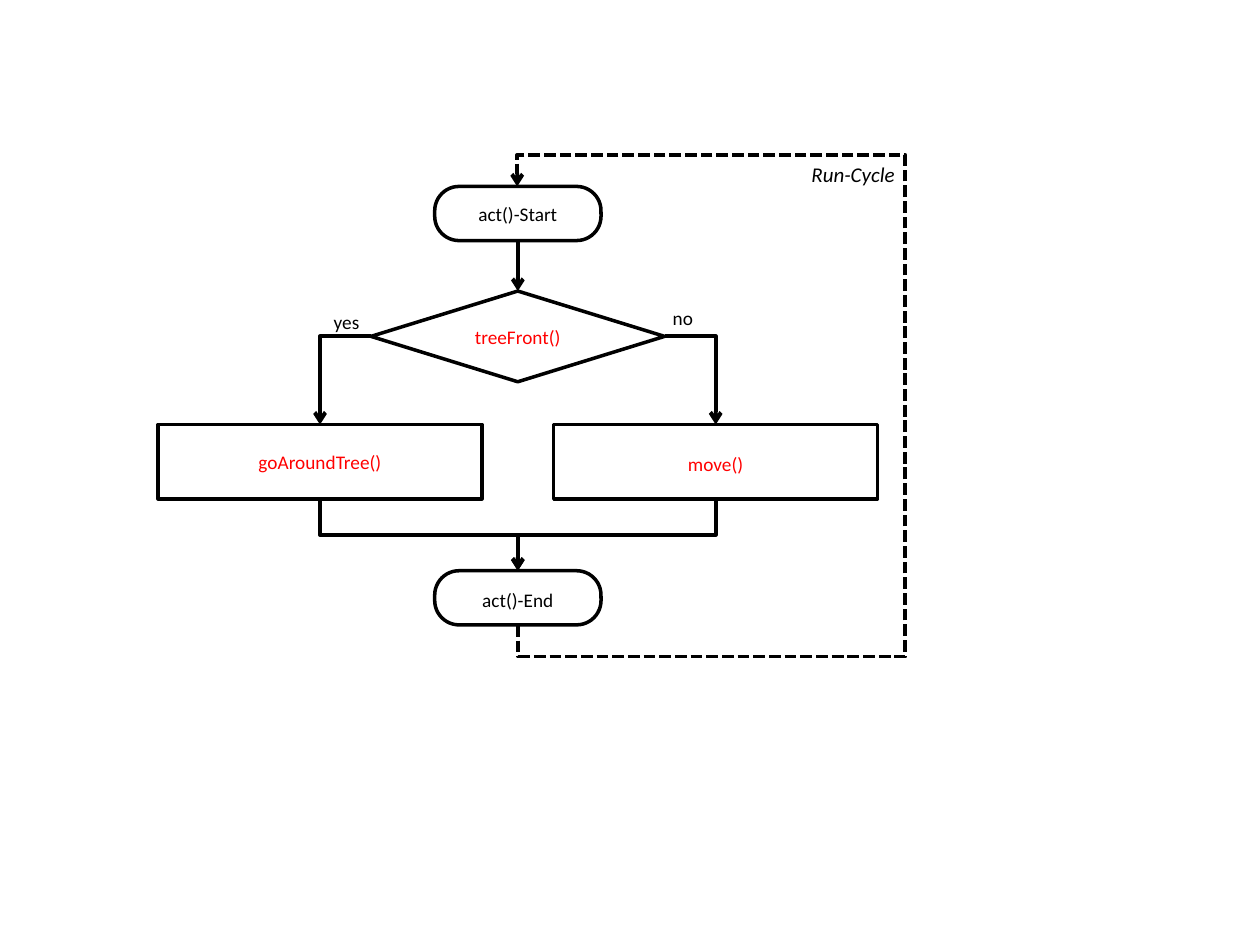
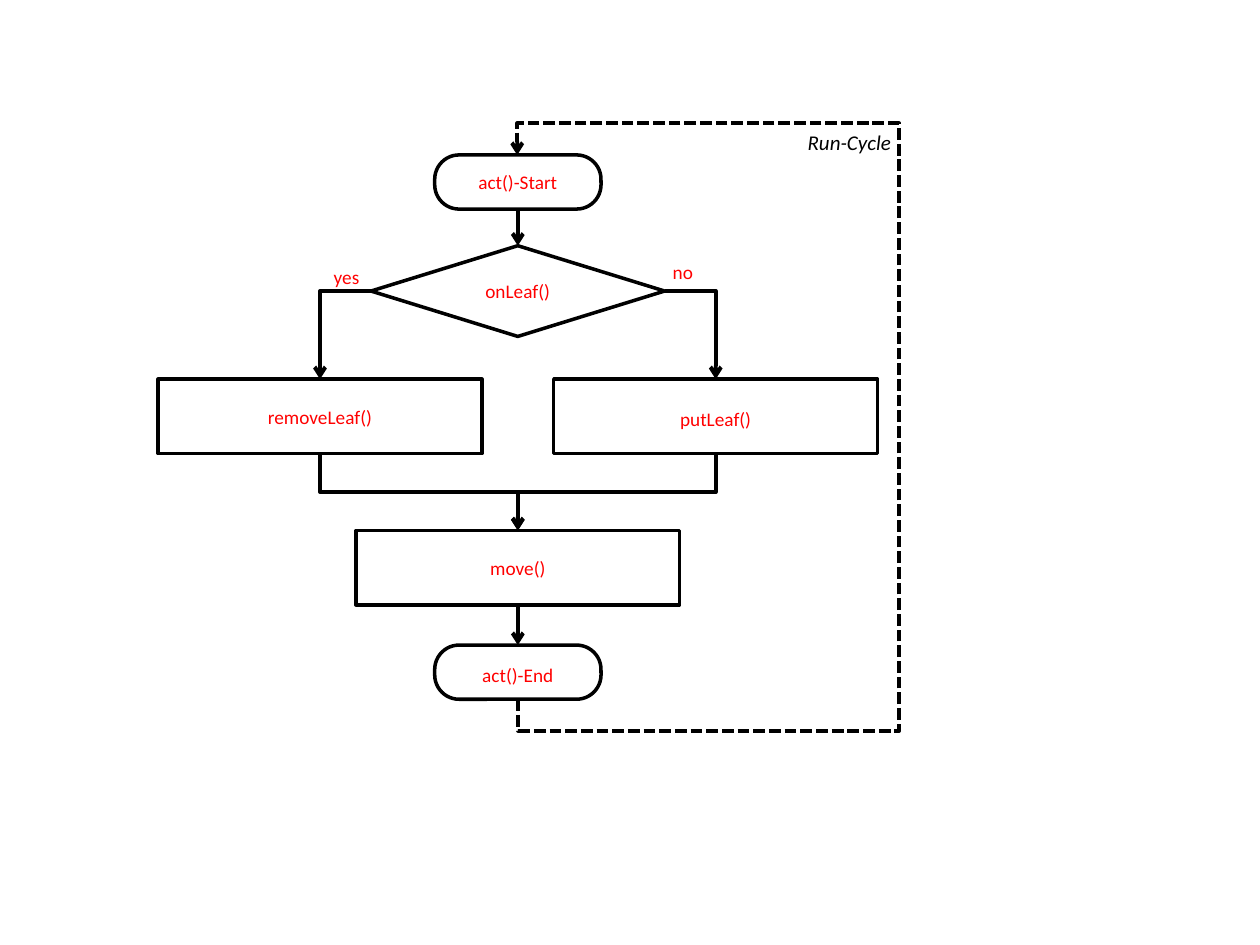
from lxml.etree import SubElement
from pptx import Presentation
from pptx.dml.color import RGBColor
from pptx.enum.dml import MSO_LINE
from pptx.enum.shapes import MSO_CONNECTOR, MSO_SHAPE
from pptx.enum.text import MSO_ANCHOR, PP_ALIGN
from pptx.oxml.ns import qn
from pptx.util import Inches, Pt

COLORS = {"paper": "FFFFFF", "ink": "000000", "answer": "FF0000"}
FONT = "Calibri"
TOP, LEFT, BOTTOM, RIGHT = range(4)

AXIS = 4.11            # centre of the main column
BRANCH_OFFSET = 1.57   # from the axis to the centre of each branch
BRANCH_DROP = 1.06     # from the top of the decision to the branches
LOOP_GAP = 0.25        # the loop runs this far below the end and above the start
TERMINAL, DECISION, STEP = (1.32, 0.43), (2.33, 0.72), (2.57, 0.59)

CHARTS = [
    {"start": 1.48, "decision": 2.31, "end": 4.53, "loop_right": 7.23, "label_right": 7.2,
     "question": "treeFront()", "yes": "goAroundTree()", "no": "move()",
     "after": None, "frame_color": "ink"},
    {"start": 1.23, "decision": 1.95, "end": 5.12, "loop_right": 7.18, "label_right": 7.17,
     "question": "onLeaf()", "yes": "removeLeaf()", "no": "putLeaf()",
     "after": ("move()", 4.21), "frame_color": "answer"},
]


def color(name):
    return RGBColor.from_string(COLORS[name])


def write(shape, text, ink, align, size=11, spacing=1.0, italic=False):
    frame = shape.text_frame
    frame.word_wrap = True
    para = frame.paragraphs[0]
    para.text = text
    para.alignment = align
    para.line_spacing = spacing
    font = para.font
    font.name, font.size, font.italic = FONT, Pt(size), italic
    font.color.rgb = color(ink)
    return frame


def add_node(page, kind, center, top, size, text, ink="answer", spacing=1.0):
    width, height = size
    node = page.shapes.add_shape(kind, Inches(center - width / 2), Inches(top),
                                 Inches(width), Inches(height))
    node.shadow.inherit = False
    node.fill.solid()
    node.fill.fore_color.rgb = color("paper")
    node.line.color.rgb = color("ink")
    node.line.width = Pt(2)
    frame = write(node, text, ink, PP_ALIGN.CENTER, spacing=spacing)
    frame.vertical_anchor = MSO_ANCHOR.MIDDLE
    if kind == MSO_SHAPE.ROUNDED_RECTANGLE:
        node.adjustments[0] = 0.45
    elif kind == MSO_SHAPE.FLOWCHART_DECISION:
        frame.margin_left = frame.margin_right = 0
        frame.margin_top = frame.margin_bottom = 0
    return node


def add_label(page, left, top, width, height, text, ink, align=PP_ALIGN.LEFT, **style):
    box = page.shapes.add_textbox(Inches(left), Inches(top), Inches(width), Inches(height))
    write(box, text, ink, align, **style)


def add_arrow(page, source, source_side, target, target_side, kind=MSO_CONNECTOR.STRAIGHT):
    arrow = page.shapes.add_connector(kind, 0, 0, 0, 0)
    arrow.begin_connect(source, source_side)
    arrow.end_connect(target, target_side)
    arrow.line.color.rgb = color("ink")
    arrow.line.width = Pt(2.25)
    SubElement(arrow.line._get_or_add_ln(), qn("a:tailEnd"), type="arrow")
    SubElement(arrow._element.spPr, qn("a:effectLst"))
    return arrow


def set_bends(arrow, preset, *adjustments):
    geometry = arrow._element.spPr.find(qn("a:prstGeom"))
    geometry.set("prst", preset)
    guides = geometry.find(qn("a:avLst"))
    for number, value in enumerate(adjustments, 1):
        SubElement(guides, qn("a:gd"), name=f"adj{number}", fmla=f"val {round(value * 100000)}")


def turn_upright(arrow):
    """Make an elbow leave and arrive vertically: a box turned by 90 degrees, same ends."""
    run = arrow.end_x - arrow.begin_x
    rise = arrow.end_y - arrow.begin_y
    middle_x = (arrow.begin_x + arrow.end_x) // 2
    middle_y = (arrow.begin_y + arrow.end_y) // 2
    width, height = abs(rise), max(abs(run), Inches(0.01))
    arrow.left, arrow.top = middle_x - width // 2, middle_y - height // 2
    arrow.width, arrow.height = width, height
    frame = arrow._element.spPr.find(qn("a:xfrm"))
    frame.set("rot", str(90 * 60000))
    frame.set("flipH", str(int(rise < 0)))
    frame.set("flipV", str(int(run > 0)))


def add_branch(page, decision, side, center, top, text, target, spacing):
    """Place one answer's step and lead the flow through it to the target."""
    step = add_node(page, MSO_SHAPE.RECTANGLE, center, top, STEP, text, spacing=spacing)
    set_bends(add_arrow(page, decision, side, step, TOP, MSO_CONNECTOR.ELBOW), "bentConnector2")
    merge = add_arrow(page, step, BOTTOM, target, TOP, MSO_CONNECTOR.ELBOW)
    turn_upright(merge)
    set_bends(merge, "bentConnector3", 0.5)


def add_run_cycle(page, start, end, chart):
    loop = add_arrow(page, end, BOTTOM, start, TOP, MSO_CONNECTOR.ELBOW)
    loop.line.dash_style = MSO_LINE.SQUARE_DOT
    turn_upright(loop)
    overshoot = Inches(LOOP_GAP) / loop.width
    reach = Inches(chart["loop_right"] - AXIS) / loop.height
    set_bends(loop, "bentConnector5", -overshoot, -reach, 1 + overshoot)
    add_label(page, chart["label_right"] - 1.93, chart["start"] - LOOP_GAP, 1.93, 0.37,
              "Run-Cycle", "ink", PP_ALIGN.RIGHT, size=12, italic=True)


def add_flowchart(page, chart):
    ink = chart["frame_color"]
    start = add_node(page, MSO_SHAPE.ROUNDED_RECTANGLE, AXIS, chart["start"], TERMINAL,
                     "act()-Start", ink)
    decision = add_node(page, MSO_SHAPE.FLOWCHART_DECISION, AXIS, chart["decision"], DECISION,
                        chart["question"])
    end = add_node(page, MSO_SHAPE.ROUNDED_RECTANGLE, AXIS, chart["end"], TERMINAL,
                   "act()-End", ink, 1.2)
    add_arrow(page, start, BOTTOM, decision, TOP)

    target = end
    if chart["after"]:
        text, top = chart["after"]
        target = add_node(page, MSO_SHAPE.RECTANGLE, AXIS, top, STEP, text)
        add_arrow(page, target, BOTTOM, end, TOP)

    branch_top = chart["decision"] + BRANCH_DROP
    for answer, side, direction, label_left, step_spacing, label_spacing in (
            ("yes", LEFT, -1, 2.55, 1.0, 1.2), ("no", RIGHT, 1, 5.24, 1.2, 1.0)):
        add_branch(page, decision, side, AXIS + direction * BRANCH_OFFSET, branch_top,
                   chart[answer], target, step_spacing)
        add_label(page, label_left, chart["decision"] + 0.07, 0.52, 0.3, answer, ink,
                  spacing=label_spacing)
    add_run_cycle(page, start, end, chart)


def main():
    deck = Presentation()
    deck.slide_width, deck.slide_height = Inches(10), Inches(7.5)
    blank = deck.slide_layouts[6]
    for chart in CHARTS:
        add_flowchart(deck.slides.add_slide(blank), chart)
    deck.save("out.pptx")


if __name__ == "__main__":
    main()
